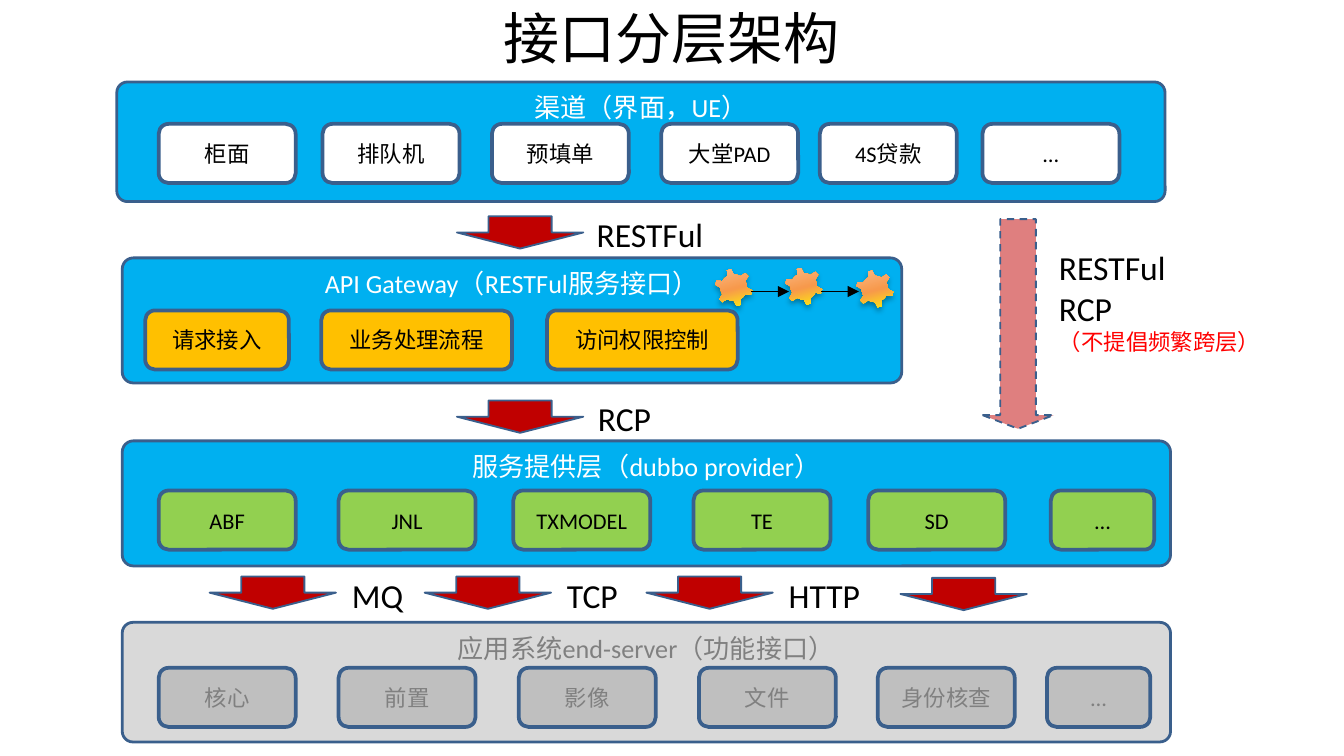
from dataclasses import dataclass

from lxml.etree import SubElement
from pptx import Presentation
from pptx.dml.color import RGBColor
from pptx.enum.dml import MSO_LINE
from pptx.enum.shapes import MSO_CONNECTOR, MSO_SHAPE
from pptx.enum.text import MSO_ANCHOR, PP_ALIGN
from pptx.oxml import parse_xml
from pptx.oxml.ns import nsdecls, qn
from pptx.util import Pt


@dataclass(frozen=True)
class Theme:
    latin: str = "Calibri"
    chinese: str = "Noto Sans CJK SC"
    black: str = "000000"
    white: str = "FFFFFF"
    outline: str = "3A5F8C"
    blue: str = "00B0F0"
    orange: str = "FFC000"
    green: str = "92D050"
    pale_grey: str = "D9D9D9"
    mid_grey: str = "BFBFBF"
    grey_text: str = "808080"
    arrow: str = "C00000"
    warning: str = "FF0000"
    gear_stops: tuple = ((0, "FFFF00"), (48, "F7994C"), (100, "FAC090"))
    title_size: int = 30
    protocol_size: int = 18
    panel_size: int = 14
    node_size: int = 12


class LayerDiagram:
    def __init__(self, slide, theme):
        self.slide = slide
        self.theme = theme

    def style_paragraph(self, paragraph, size, color, latin=None):
        for run in paragraph.runs:
            run.font.size = Pt(size)
            run.font.name = latin or self.theme.latin
            run.font.color.rgb = RGBColor.from_string(color)
            east_asian = SubElement(run.font._element, qn("a:ea"))
            east_asian.set("typeface", self.theme.chinese)

    def add_shape(self, kind, left, top, width, height, fill, line_width):
        shape = self.slide.shapes.add_shape(kind, Pt(left), Pt(top), Pt(width), Pt(height))
        shape.shadow.inherit = False
        shape.fill.solid()
        shape.fill.fore_color.rgb = RGBColor.from_string(fill)
        shape.line.color.rgb = RGBColor.from_string(self.theme.outline)
        shape.line.width = Pt(line_width)
        return shape

    def add_box(self, text, left, top, width, height, fill, line_width, size, color, anchor):
        shape = self.add_shape(MSO_SHAPE.ROUNDED_RECTANGLE, left, top, width, height, fill, line_width)
        frame = shape.text_frame
        frame.word_wrap = True
        frame.vertical_anchor = anchor
        frame.text = text
        paragraph = frame.paragraphs[0]
        paragraph.alignment = PP_ALIGN.CENTER
        self.style_paragraph(paragraph, size, color)
        return shape

    def add_panel(self, text, left, top, width, height, fill, color):
        panel = self.add_box(text, left, top, width, height, fill, 1.5,
                             self.theme.panel_size, color, MSO_ANCHOR.TOP)
        panel.adjustments[0] = 0.089

    def add_node(self, text, left, top, width, fill, color):
        self.add_box(text, left, top, width, 31.7, fill, 2,
                     self.theme.node_size, color, MSO_ANCHOR.MIDDLE)

    def add_text(self, lines, left, top, width, height):
        box = self.slide.shapes.add_textbox(Pt(left), Pt(top), Pt(width), Pt(height))
        frame = box.text_frame
        frame.word_wrap = True
        frame.text = "\n".join(text for text, size, color in lines)
        for paragraph, (text, size, color) in zip(frame.paragraphs, lines):
            self.style_paragraph(paragraph, size, color)
        return frame

    def add_title(self, text):
        frame = self.add_text([(text, self.theme.title_size, self.theme.black)], 0, 0, 720, 39.6)
        frame.vertical_anchor = MSO_ANCHOR.MIDDLE
        paragraph = frame.paragraphs[0]
        paragraph.alignment = PP_ALIGN.CENTER
        paragraph.runs[0].font.name = self.theme.chinese

    def add_protocol(self, text, left, top):
        self.add_text([(text, self.theme.protocol_size, self.theme.black)], left, top, 73.4, 28.8)

    def add_arrow(self, left, top, width=67.7, height=17.3):
        return self.add_shape(MSO_SHAPE.DOWN_ARROW, left, top, width, height, self.theme.arrow, 1)

    def add_bypass_arrow(self, left, top, width, height):
        arrow = self.add_arrow(left, top, width, height)
        arrow.adjustments[1] = 0.191
        arrow.line.dash_style = MSO_LINE.DASH
        color = arrow._element.spPr.find(qn("a:solidFill")).find(qn("a:srgbClr"))
        SubElement(color, qn("a:alpha")).set("val", "50000")

    def add_gear(self, left, top):
        gear = self.add_shape(MSO_SHAPE.GEAR_6, left, top, 20.2, 20.2, self.theme.orange, 1)
        gear.rotation = 345
        gear.line.fill.background()
        properties = gear._element.spPr
        stops = "".join(f'<a:gs pos="{position * 1000}"><a:srgbClr val="{color}"/></a:gs>'
                        for position, color in self.theme.gear_stops)
        gradient = parse_xml(f'<a:gradFill {nsdecls("a")} rotWithShape="1"><a:gsLst>{stops}</a:gsLst>'
                             '<a:lin ang="16200000" scaled="0"/></a:gradFill>')
        properties.replace(properties.find(qn("a:solidFill")), gradient)
        properties.find(qn("a:effectLst")).append(parse_xml(
            f'<a:outerShdw {nsdecls("a")} blurRad="{Pt(3.1)}" dist="{Pt(1.8)}" dir="5400000" '
            f'rotWithShape="0"><a:srgbClr val="{self.theme.black}"><a:alpha val="35000"/>'
            '</a:srgbClr></a:outerShdw>'))

    def add_link(self, start, end, height):
        link = self.slide.shapes.add_connector(
            MSO_CONNECTOR.STRAIGHT, Pt(start), Pt(height), Pt(end), Pt(height))
        link.line.color.rgb = RGBColor.from_string(self.theme.black)
        link.line.width = Pt(0.75)
        SubElement(link.line._get_or_add_ln(), qn("a:tailEnd")).set("type", "triangle")
        SubElement(link._element.spPr, qn("a:effectLst"))


def main():
    presentation = Presentation()
    presentation.slide_width, presentation.slide_height = Pt(720), Pt(405)
    theme = Theme()
    slide = presentation.slides.add_slide(presentation.slide_layouts[6])
    diagram = LayerDiagram(slide, theme)

    diagram.add_title("接口分层架构")

    full, wide, narrow = 561.6, 73.4, 55.4
    layers = [
        (("渠道（界面，UE）", 62.6, 43.9, full, 64.1, theme.blue, theme.white),
         66.4, theme.white, theme.black,
         [("柜面", 85, wide), ("排队机", 172.8, wide), ("预填单", 263.5, wide),
          ("大堂PAD", 354.2, wide), ("4S贷款", 439.2, wide), ("…", 526.3, wide)]),
        (("API Gateway（RESTFul服务接口）", 65.5, 138.2, 417.6, 67, theme.blue, theme.white),
         166.3, theme.orange, theme.black,
         [("请求接入", 77.8, 77), ("业务处理流程", 172.1, 102.2), ("访问权限控制", 293, 102.2)]),
        (("服务提供层（dubbo provider）", 65.5, 236.2, full, 67, theme.blue, theme.white),
         262.8, theme.green, theme.black,
         [("ABF", 85, wide), ("JNL", 181.4, wide), ("TXMODEL", 275, wide),
          ("TE", 371.5, wide), ("SD", 465.1, wide), ("…", 563, narrow)]),
        (("应用系统end-server（功能接口）", 65.5, 333.4, full, 64.1, theme.pale_grey, theme.grey_text),
         357.8, theme.mid_grey, theme.grey_text,
         [("核心", 85, wide), ("前置", 181.4, wide), ("影像", 277.9, wide),
          ("文件", 374.4, wide), ("身份核查", 470.2, wide), ("…", 560.9, narrow)]),
    ]
    for panel, node_top, node_fill, node_color, nodes in layers:
        diagram.add_panel(*panel)
        for text, left, width in nodes:
            diagram.add_node(text, left, node_top, width, node_fill, node_color)

    for left, top in [(244.8, 115.9), (244.8, 214.6), (112.3, 308.9),
                      (227.5, 308.9), (346.3, 308.9), (482.4, 309.6)]:
        diagram.add_arrow(left, top)
    for text, left, top in [("RESTFul", 312.5, 110.9), ("RCP", 313.2, 209.5), ("MQ", 181.4, 304.6),
                            ("TCP", 296.6, 304.6), ("HTTP", 415.4, 304.6)]:
        diagram.add_protocol(text, left, top)

    diagram.add_bypass_arrow(526.3, 117.4, 38.2, 112.3)
    diagram.add_text([("RESTFul", theme.protocol_size, theme.black),
                      ("RCP", theme.protocol_size, theme.black),
                      ("（不提倡频繁跨层）", theme.node_size, theme.warning)],
                     560.2, 128.9, 123.2, 65.5)

    for left, top in [(383, 144), (420.5, 143.3), (458.6, 144.7)]:
        diagram.add_gear(left, top)
    for start in (402.5, 439.9):
        diagram.add_link(start, start + 20.2, 156.2)

    presentation.save("out.pptx")


if __name__ == "__main__":
    main()
